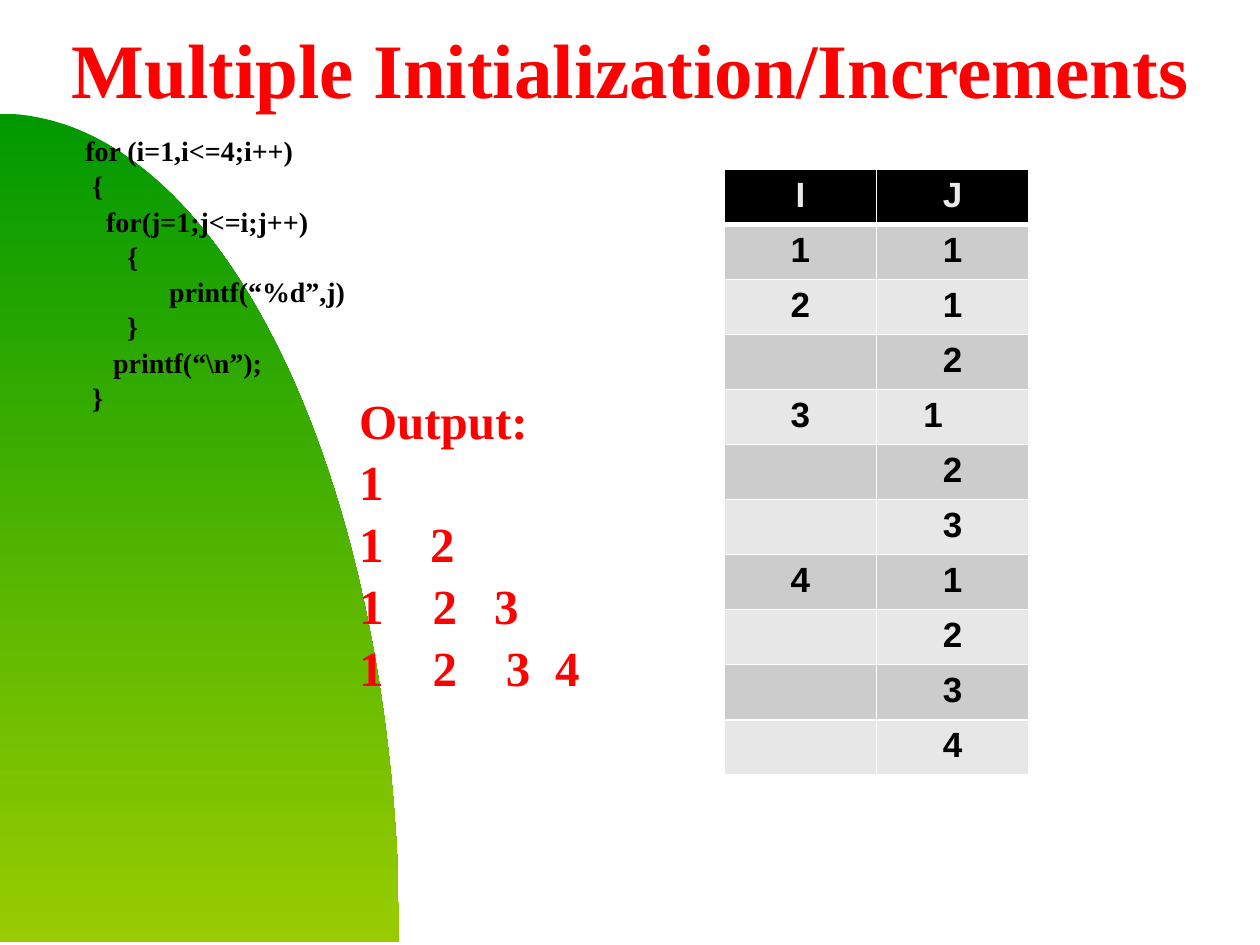
"""Build the slide on nested loops with several initializations."""
import math
import pptx
import pptx.util
import pptx.dml.color
import pptx.enum.text
import lxml.etree
from pptx.util import Cm

HUES = {"red": "FF0000", "black": "000000", "white": "FFFFFF",
        "head": "EAEAEA", "dark": "CCCCCC", "light": "E7E7E7",
        "green": "009900", "lime": "99CC00"}
MID = pptx.enum.text.PP_ALIGN.CENTER
NS = "http://schemas.openxmlformats.org/drawingml/2006/main"


def paint(para, face, size, hue):
    for run in para.runs:
        run.font.name = face
        run.font.size = pptx.util.Pt(size)
        run.font.bold = True
        run.font.color.rgb = pptx.dml.color.RGBColor.from_string(HUES[hue])


def write(box, lines, size, hue):
    area = slide.shapes.add_textbox(*map(Cm, box)).text_frame
    area.word_wrap = True
    area.text = "\n".join(lines)
    for para in area.paragraphs:
        para.line_spacing = 1.05
        paint(para, "Times New Roman", size, hue)
    return area


deck = pptx.Presentation()
deck.slide_width, deck.slide_height = Cm(25.4), Cm(19.05)
slide = deck.slides.add_slide(deck.slide_layouts[6])

base, wide, tall, steps = 19, 8.05, 16.71, 60
turns = [math.pi / 2 * step / steps for step in range(steps + 1)]
arc = [(Cm(wide * math.sin(turn)), Cm(base - tall * math.cos(turn)))
       for turn in turns]
pen = slide.shapes.build_freeform(0, Cm(base))
pen.add_line_segments(arc, close=True)
hill = pen.convert_to_shape()
hill.shadow.inherit = False
hill.line.fill.background()
hill.fill.gradient()
hill.fill.gradient_angle = 270
for stop, hue, place in zip(hill.fill.gradient_stops, ("green", "lime"), (0, 1)):
    stop.color.rgb = pptx.dml.color.RGBColor.from_string(HUES[hue])
    stop.position = place

title = write((-1.57, 0.22, 28.58, 2.13),
              ["Multiple Initialization/Increments"], 44, "red")
title.paragraphs[0].alignment = MID

result = write((6.99, 7.68, 14.3, 9.83),
               ["Output:", "1", "2", "1\t2\t3", "1\t2\t3\t4"], 28, "red")
for row, stops in ((3, (1.48, 2.72)), (4, (1.48, 2.96, 3.95))):
    props = result.paragraphs[row]._p.get_or_add_pPr()
    tabs = lxml.etree.SubElement(props, f"{{{NS}}}tabLst")
    for stop in stops:
        lxml.etree.SubElement(tabs, f"{{{NS}}}tab", pos=str(Cm(stop)), algn="l")
props = result.paragraphs[2]._p.get_or_add_pPr()
props.set("marL", str(Cm(1.43)))
props.set("indent", str(Cm(-1.43)))
lxml.etree.SubElement(props, f"{{{NS}}}buAutoNum", type="arabicPlain")

code = ["for (i=1,i<=4;i++)", " {", "   for(j=1;j<=i;j++)", "      {",
        "            printf(“%d”,j)", "      }", "    printf(“\\n”);", " }"]
write((1.47, 2.54, 16.18, 5.89), code, 16, "black")

rows = [("I", "J")]
for i in range(1, 5):
    rows += [(str(i) if j == 1 else "", str(j)) for j in range(1, i + 1)]
high = 1.11
grid = slide.shapes.add_table(len(rows), 2, Cm(14.6), Cm(3.41), Cm(6.14),
                              Cm(high * len(rows))).table
for row, texts in enumerate(rows):
    grid.rows[row].height = Cm(high)
    back = "black" if row == 0 else "dark" if row % 2 else "light"
    for col, text in enumerate(texts):
        cell = grid.cell(row, col)
        cell.text_frame.text = text
        para = cell.text_frame.paragraphs[0]
        para.alignment = MID
        paint(para, "Arial", 20, "black" if row else "head")
        props = cell._tc.get_or_add_tcPr()
        for side in "LRTB":
            thick = 3 if (row, side) in ((0, "B"), (1, "T")) else 1
            edge = lxml.etree.SubElement(props, f"{{{NS}}}ln{side}",
                                         w=str(pptx.util.Pt(thick)))
            solid = lxml.etree.SubElement(edge, f"{{{NS}}}solidFill")
            lxml.etree.SubElement(solid, f"{{{NS}}}srgbClr", val=HUES["white"])
        cell.fill.solid()
        cell.fill.fore_color.rgb = pptx.dml.color.RGBColor.from_string(HUES[back])
grid.cell(4, 1).margin_right = Cm(1.04)

deck.save("out.pptx")
